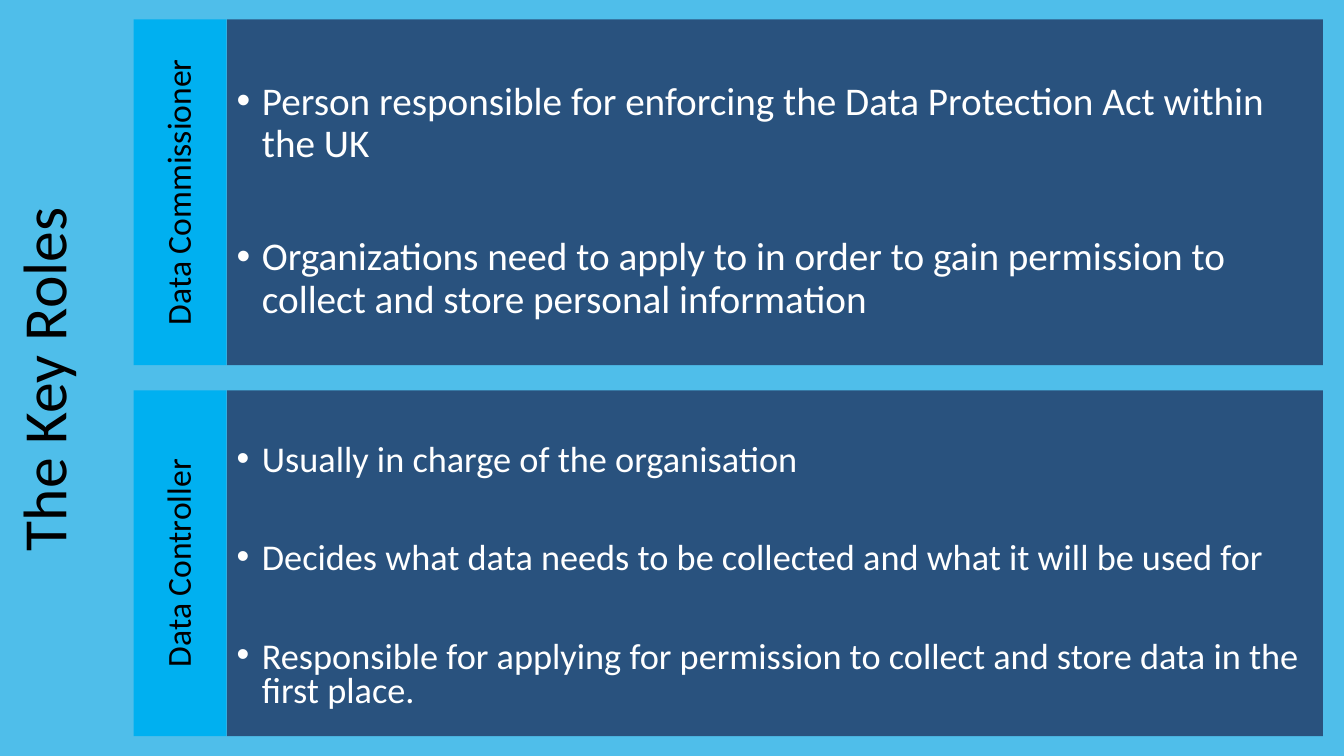
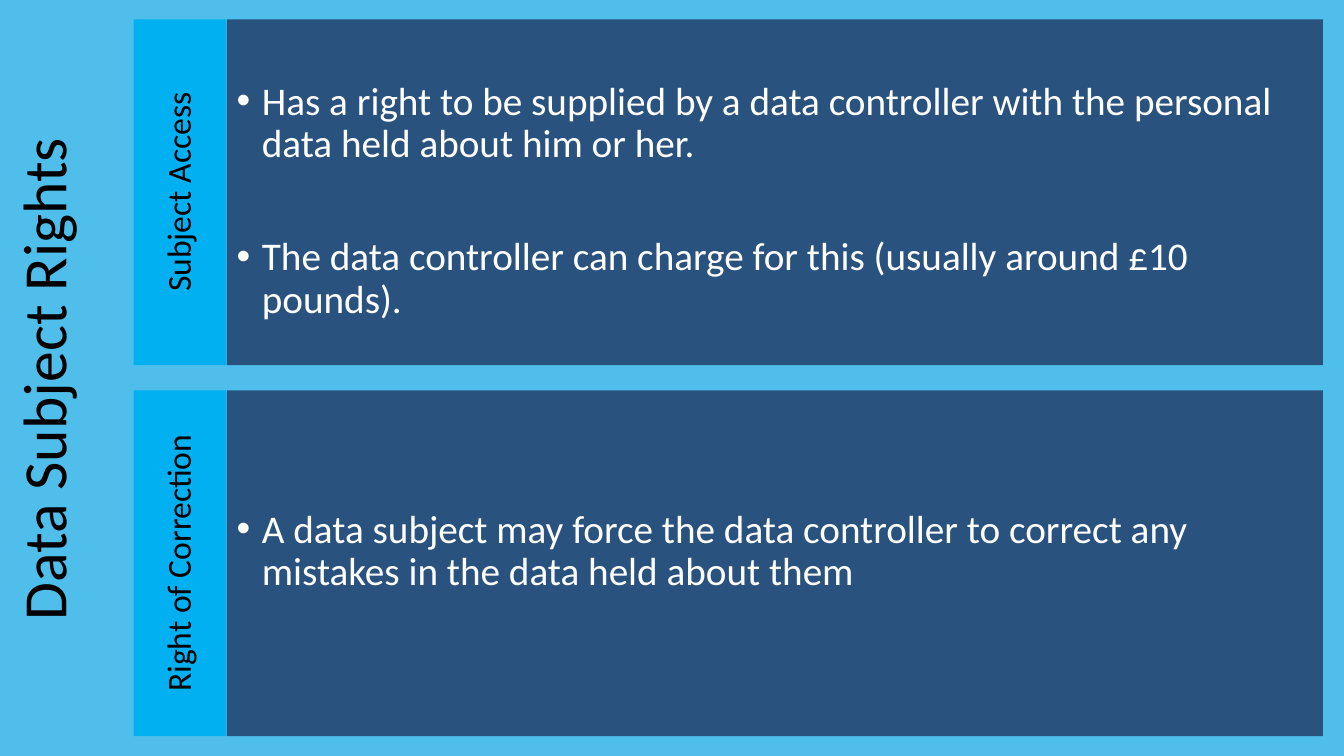
from dataclasses import dataclass

from lxml.etree import SubElement
from pptx import Presentation
from pptx.dml.color import RGBColor as Rgb
from pptx.enum.shapes import MSO_SHAPE as Shape
from pptx.enum.text import MSO_ANCHOR as Anchor, PP_ALIGN as Align
from pptx.oxml.ns import qn
from pptx.util import Pt


@dataclass(frozen=True)
class Theme:
    # Colours
    sky: Rgb = Rgb.from_string("4FBEEA")
    navy: Rgb = Rgb.from_string("203864")
    cyan: Rgb = Rgb.from_string("00B0F0")
    black: Rgb = Rgb.from_string("000000")
    white: Rgb = Rgb.from_string("FFFFFF")
    panel_opacity: int = 80
    # Type
    font: str = "Calibri"
    title_size: float = 44
    label_size: float = 24
    body_size: float = 28
    small_size: float = 25.9
    line_height: float = 1.22
    spacing: float = 0.9
    tight_spacing: float = 0.8
    para_gap: float = 10
    indent: float = 18


THEME = Theme()

# Layout in points: title strip, then label strip and panel in each row
SLIDE_WIDTH, SLIDE_HEIGHT = 960, 540
STRIP_WIDTH = 66.2
TITLE_TOP, TITLE_HEIGHT = 2, 538
LABEL_LEFT = 95.5
PANEL_LEFT, PANEL_WIDTH = 162, 783
ROW_TOP, ROW_HEIGHT, ROW_STEP = 13.8, 247, 265
INSET = 3.6


@dataclass(frozen=True)
class Section:
    label: str
    bullets: tuple
    size: float = THEME.body_size
    spacing: float = THEME.spacing
    lead_lines: int = 1  # line-heights left free above the first bullet


SLIDES = (
    ("The Key Roles", (
        Section("Data Commissioner", (
            "Person responsible for enforcing the Data Protection Act within the UK",
            "Organizations need to apply to in order to gain permission to "
            "collect and store personal information",
        )),
        Section("Data Controller", (
            "Usually in charge of the organisation",
            "Decides what data needs to be collected and what it will be used for",
            "Responsible for applying for permission to collect and store data "
            "in the first place.",
        ), THEME.small_size, THEME.tight_spacing),
    )),
    ("Data Subject Rights", (
        Section("Subject Access", (
            "Has a right to be supplied by a data controller with the personal "
            "data held about him or her.",
            "The data controller can charge for this (usually around £10 pounds).",
        )),
        Section("Right of Correction", (
            "A data subject may force the data controller to correct any "
            "mistakes in the data held about them",
        ), lead_lines=2),
    )),
)


def add_box(page, left, top, width, height, fill):
    """Add a plain rectangle without outline or shadow."""
    box = page.shapes.add_shape(Shape.RECTANGLE, Pt(left), Pt(top), Pt(width), Pt(height))
    box.shadow.inherit = False
    box.line.fill.background()
    box.fill.solid()
    box.fill.fore_color.rgb = fill
    return box


def add_span(para, text, size, color):
    span = para.add_run()
    span.text = text
    span.font.name = THEME.font
    span.font.size = Pt(size)
    span.font.color.rgb = color


def add_upright_text(page, text, size, left, top, height, fill=None):
    """Fill a vertical strip with centred text that reads upwards."""
    # The unrotated frame shares its centre with the strip
    shift = (height - STRIP_WIDTH) / 2
    frame = (left - shift, top + shift, height, STRIP_WIDTH)
    if fill is None:
        box = page.shapes.add_textbox(*map(Pt, frame))
    else:
        box = add_box(page, *frame, fill)
    box.rotation = 270
    box.text_frame.word_wrap = True
    box.text_frame.vertical_anchor = Anchor.MIDDLE
    para = box.text_frame.paragraphs[0]
    para.alignment = Align.CENTER
    para.line_spacing = THEME.spacing
    add_span(para, text, size, THEME.black)


def set_bullet(para):
    props = para._p.get_or_add_pPr()
    props.set("marL", str(Pt(THEME.indent)))
    props.set("indent", str(-Pt(THEME.indent)))
    SubElement(props, qn("a:buFont"), typeface="Arial")
    SubElement(props, qn("a:buChar"), char="•")


def add_panel(page, section, top):
    """Add the translucent panel with its bullets."""
    box = add_box(page, PANEL_LEFT, top, PANEL_WIDTH, ROW_HEIGHT, THEME.navy)
    color = box.fill._xPr.find(qn("a:solidFill"))[0]
    SubElement(color, qn("a:alpha"), val=str(THEME.panel_opacity * 1000))

    line = section.size * THEME.line_height * section.spacing
    free_line = line + THEME.para_gap
    frame = box.text_frame
    frame.word_wrap = True
    frame.vertical_anchor = Anchor.TOP
    frame.margin_top = Pt(INSET + section.lead_lines * free_line)
    for index, text in enumerate(section.bullets):
        para = frame.add_paragraph() if index else frame.paragraphs[0]
        set_bullet(para)
        para.alignment = Align.LEFT
        para.line_spacing = section.spacing
        para.space_before = Pt(free_line + THEME.para_gap if index else 0)
        add_span(para, text, section.size, THEME.white)


def add_page(deck, title, sections):
    page = deck.slides.add_slide(deck.slide_layouts[6])
    add_upright_text(page, title, THEME.title_size, 0, TITLE_TOP, TITLE_HEIGHT)
    for row, section in enumerate(sections):
        top = ROW_TOP + row * ROW_STEP
        add_panel(page, section, top)
        add_upright_text(page, section.label, THEME.label_size,
                         LABEL_LEFT, top, ROW_HEIGHT, THEME.cyan)


def main():
    deck = Presentation()
    deck.slide_width, deck.slide_height = Pt(SLIDE_WIDTH), Pt(SLIDE_HEIGHT)
    # Shared background
    backdrop = deck.slide_master.background.fill
    backdrop.solid()
    backdrop.fore_color.rgb = THEME.sky
    for title, sections in SLIDES:
        add_page(deck, title, sections)
    deck.save("out.pptx")


if __name__ == "__main__":
    main()
